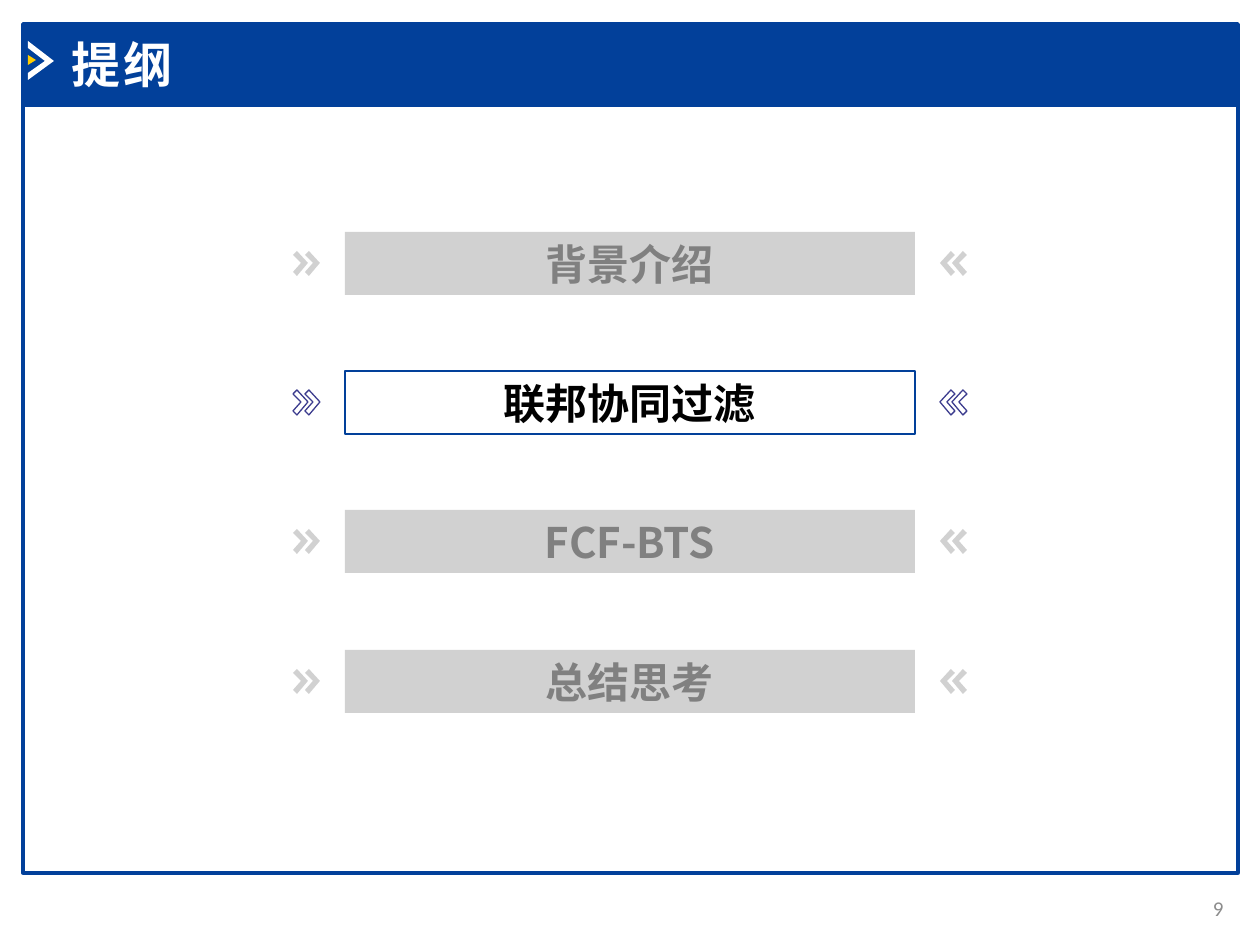
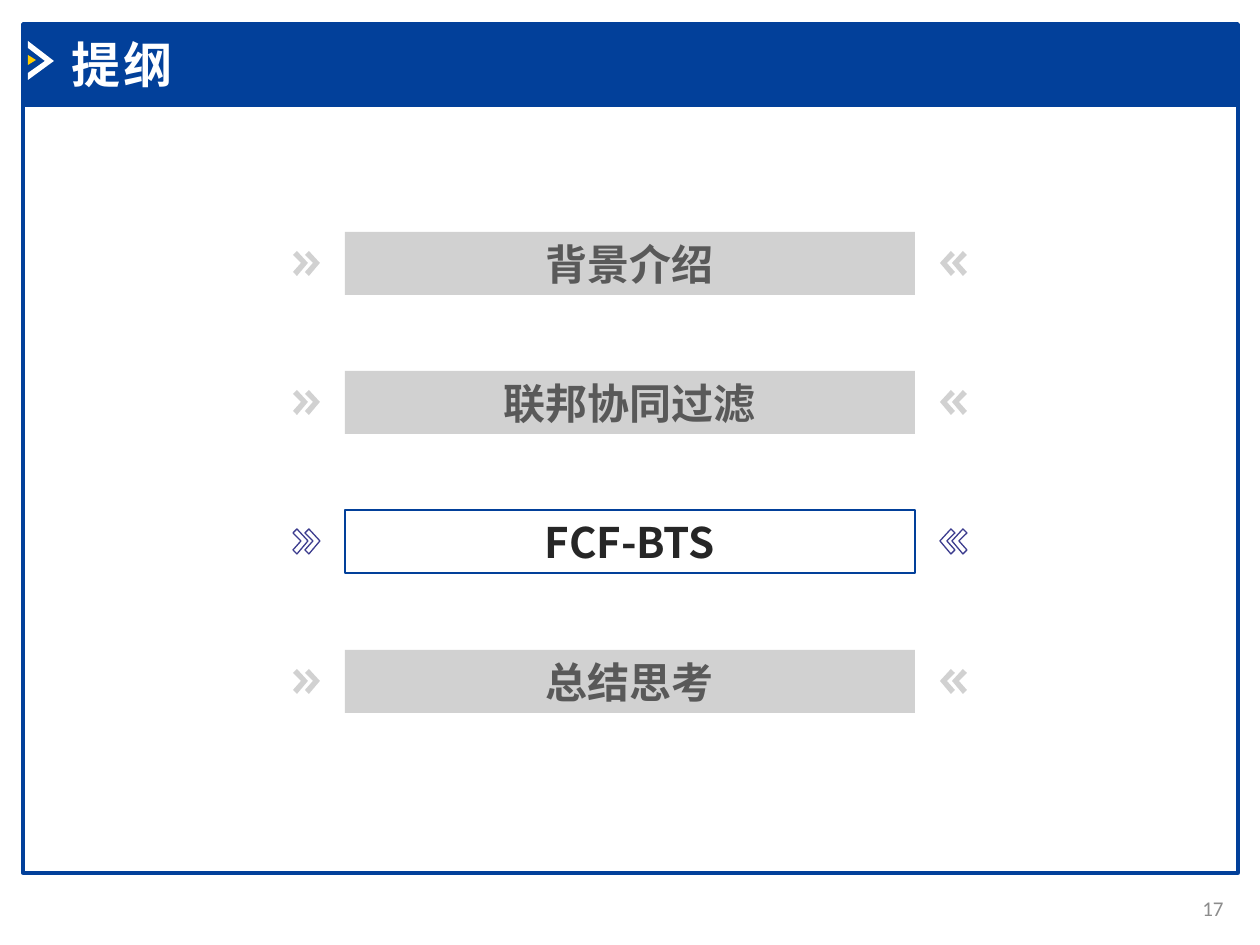
from lxml import etree
from pptx import Presentation
from pptx.dml.color import RGBColor
from pptx.enum.shapes import MSO_SHAPE
from pptx.enum.text import MSO_ANCHOR, PP_ALIGN
from pptx.oxml.ns import qn
from pptx.util import Emu, Pt

SCALE = 914400 / 126  # EMU per px
WIDE, HIGH = 1260, 945
COLORS = {
    "blue": "02409A", "white": "FFFFFF", "gold": "FFCC00", "gray": "A5A5A5",
    "violet": "3C3C8E", "page": "8C8C8C", "mid": "808080", "black": "000000",
    "dark": "595959", "ink": "262626",
}
LATIN, HAN = "Calibri", "Noto Sans CJK SC"
TOPICS = ["背景介绍", "联邦协同过滤", "FCF-BTS", "总结思考"]
# page number, current topic, colour of other topics, colour of current topic
SLIDES = [(9, 1, "mid", "black"), (17, 2, "dark", "ink")]
MARK = [(0, 0), (0, 7), (17, 20), (0, 32), (0, 39), (26, 20)]
DOT = [(0, 0), (0, 10), (8, 5)]
CHEVRON = [(4, 0), (0, 4), (8, 12), (0, 21), (4, 25), (15, 12)]


def color(name):
    return RGBColor.from_string(COLORS[name])


def px(*sizes):
    return [Emu(round(size * SCALE)) for size in sizes]


def paint(shape, fill=None, line=None, width=1, alpha=None):
    shape.shadow.inherit = False
    if fill:
        shape.fill.solid()
        shape.fill.fore_color.rgb = color(fill)
    else:
        shape.fill.background()
    if alpha:
        tint = shape.element.spPr.find(".//" + qn("a:srgbClr"))
        etree.SubElement(tint, qn("a:alpha")).set("val", str(alpha * 1000))
    if line:
        shape.line.color.rgb = color(line)
        shape.line.width = Pt(width)
    else:
        shape.line.fill.background()


def add_rect(shapes, box, **style):
    rect = shapes.add_shape(MSO_SHAPE.RECTANGLE, *px(*box))
    paint(rect, **style)
    return rect


def add_poly(shapes, points, **style):
    pen = shapes.build_freeform(*points[0], scale=SCALE)
    pen.add_line_segments(points[1:], close=True)
    paint(pen.convert_to_shape(), **style)


def shift(points, left, top):
    return [(left + x, top + y) for x, y in points]


def write(shape, text, size, tone, font=HAN, bold=False, align=PP_ALIGN.LEFT, gap=0):
    frame = shape.text_frame
    frame.word_wrap = True
    frame.vertical_anchor = MSO_ANCHOR.MIDDLE
    frame.margin_top = frame.margin_bottom = 0
    para = frame.paragraphs[0]
    para.alignment = align
    run = para.add_run()
    run.text = text
    run.font.size = Pt(size)
    run.font.bold = bold
    run.font.name = font
    run.font.color.rgb = color(tone)
    props = run.font._element
    etree.SubElement(props, qn("a:ea")).set("typeface", HAN)
    if gap:
        props.set("spc", str(gap * 100))


def add_frame(slide, box, page):
    left, top, width, height = box
    band = 81
    shapes = slide.shapes.add_group_shape().shapes
    # Body outline and title band
    add_rect(shapes, (left, top + band, width, height - band), line="blue", width=2)
    add_rect(shapes, (left, top, width, band), fill="blue", line="blue", width=2)
    # Arrow mark
    add_poly(shapes, shift(MARK, left + 5, top + 17), fill="white")
    add_poly(shapes, shift(DOT, left + 5, top + 31), fill="gold")
    # Title
    title = slide.shapes.add_textbox(*px(left + 36, top + 4, 449, 72))
    write(title, "提纲", 28, "white", LATIN, bold=True, gap=2)
    # Page number
    foot = slide.shapes.add_textbox(*px(left + width - 77, top + height + 10, 75, 50))
    write(foot, str(page), 12, "page", LATIN, align=PP_ALIGN.RIGHT)


def add_topic(shapes, box, text, tone, active):
    left, top, width, height = box
    # Label
    soft = dict(fill="gray", alpha=50)
    style = dict(line="blue", width=1.5) if active else soft
    label = add_rect(shapes, box, **style)
    write(label, text, 24, tone, bold=True, align=PP_ALIGN.CENTER)
    # Chevron pairs, mirrored about the centre of the label
    style = dict(line="violet", width=0.75) if active else soft
    for step in (0, 12):
        points = shift(CHEVRON, left - 52 + step, top + 19)
        add_poly(shapes, points, **style)
        add_poly(shapes, [(2 * left + width - x, y) for x, y in points], **style)


def add_agenda(slide, box, current, plain, strong):
    left, top, width, height = box
    row = 63
    shapes = slide.shapes.add_group_shape().shapes
    for i, text in enumerate(TOPICS):
        active = i == current
        y = top + (height - row) * i // (len(TOPICS) - 1)
        add_topic(shapes, (left, y, width, row), text,
                  strong if active else plain, active)


def main():
    deck = Presentation()
    deck.slide_width, deck.slide_height = px(WIDE, HIGH)
    for page, current, plain, strong in SLIDES:
        slide = deck.slides.add_slide(deck.slide_layouts[6])
        add_frame(slide, (23, 24, 1215, 849), page)
        add_agenda(slide, (345, 232, 570, 481), current, plain, strong)
    deck.save("out.pptx")


if __name__ == "__main__":
    main()
